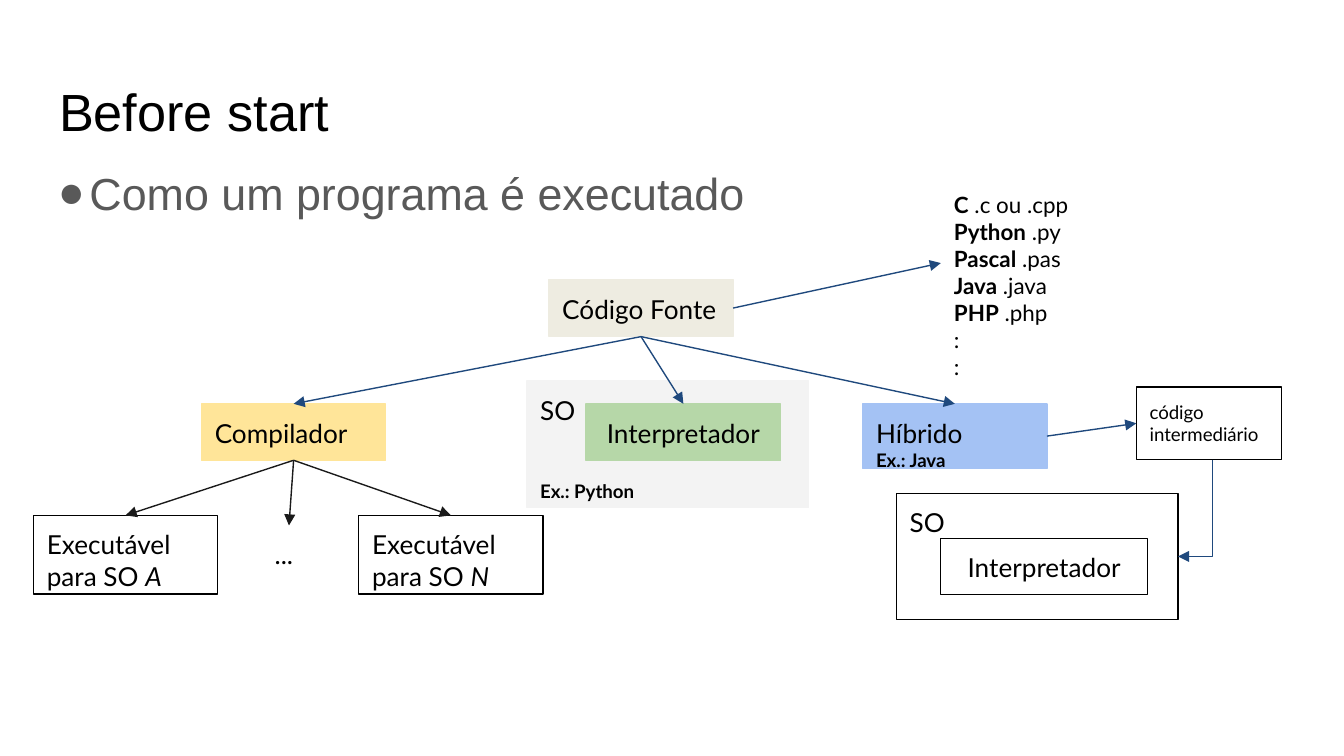
"""Builds a slide showing how a program goes from source code to execution."""
import pptx
import pptx.dml.color
import pptx.enum.shapes
import pptx.enum.text
import pptx.oxml
import pptx.oxml.ns
import pptx.util

COLORS = {
    "ink": "000000", "branch": "1A1A1A", "flow": "1F497D", "body": "595959",
    "system": "F3F3F3", "source": "EEECE1", "compiler": "FFE599",
    "interpreter": "B6D7A8", "hybrid": "A4C2F4",
}
EMU_PER_PX = 4572
TOP, LEFT, BOTTOM, RIGHT = range(4)
ALIGN = pptx.enum.text.PP_ALIGN


def px(length):
    return pptx.util.Emu(length * EMU_PER_PX)


def rgb(name):
    return pptx.dml.color.RGBColor.from_string(COLORS[name])


def append_xml(parent, tag, attributes=""):
    namespace = pptx.oxml.ns.nsdecls("a")
    element = pptx.oxml.parse_xml(f"<a:{tag} {namespace} {attributes}/>")
    parent.append(element)
    return element


def write(paragraph, text, font="Lato", size=14, color="ink", bold=False, italic=False):
    run = paragraph.add_run()
    run.text = text
    run.font.name = font
    run.font.size = pptx.util.Pt(size)
    run.font.bold = bold
    run.font.italic = italic
    run.font.color.rgb = rgb(color)


class Diagram:
    """Holds the current slide and the style of its elements."""

    def __init__(self, slide):
        self.slide = slide
        self.line_width = pptx.util.Pt(0.75)

    def frame(self, shape, across=20, down=20):
        frame = shape.text_frame
        frame.word_wrap = True
        frame.auto_size = pptx.enum.text.MSO_AUTO_SIZE.NONE
        frame.vertical_anchor = pptx.enum.text.MSO_ANCHOR.TOP
        frame.margin_left = frame.margin_right = px(across)
        frame.margin_top = frame.margin_bottom = px(down)
        return frame

    def placeholder(self, index, place, text, across, down, **style):
        holder = self.slide.placeholders[index]
        holder.left, holder.top, holder.width, holder.height = map(px, place)
        paragraph = self.frame(holder, across, down).paragraphs[0]
        paragraph.alignment = ALIGN.LEFT
        paragraph.space_before = pptx.util.Pt(0)
        write(paragraph, text, font="Arial", **style)
        return paragraph

    def bullet(self, paragraph, indent, color):
        properties = paragraph._p.get_or_add_pPr()
        properties.set("marL", str(px(indent)))
        properties.set("indent", str(px(-indent)))
        append_xml(append_xml(properties, "buClr"), "srgbClr", f'val="{COLORS[color]}"')
        append_xml(properties, "buFont", 'typeface="Arial"')
        append_xml(properties, "buChar", 'char="●"')

    def box(self, place, text, fill=None, align=ALIGN.LEFT, **style):
        kind = pptx.enum.shapes.MSO_SHAPE.RECTANGLE
        box = self.slide.shapes.add_shape(kind, *map(px, place))
        box.shadow.inherit = False
        if fill:
            box.fill.solid()
            box.fill.fore_color.rgb = rgb(fill)
        else:
            box.fill.background()
        box.line.color.rgb = rgb(fill or "ink")
        box.line.width = self.line_width
        paragraph = self.frame(box).paragraphs[0]
        paragraph.alignment = align
        write(paragraph, text, **style)
        return box

    def example(self, box, text, gap=0):
        paragraph = box.text_frame.add_paragraph()
        paragraph.alignment = ALIGN.LEFT
        paragraph.space_before = pptx.util.Pt(gap)
        write(paragraph, text, size=10, bold=True)

    def label(self, place, lines, size):
        label = self.slide.shapes.add_textbox(*map(px, place))
        frame = self.frame(label)
        for number, (strong, plain) in enumerate(lines):
            paragraph = frame.add_paragraph() if number else frame.paragraphs[0]
            if strong:
                write(paragraph, strong, size=size, bold=True)
            write(paragraph, plain, size=size)
        return label

    def loose_arrow(self, start, end, color="flow"):
        kind = pptx.enum.shapes.MSO_CONNECTOR.STRAIGHT
        arrow = self.slide.shapes.add_connector(kind, *map(px, start + end))
        arrow.line.color.rgb = rgb(color)
        arrow.line.width = self.line_width
        append_xml(arrow.line._get_or_add_ln(), "tailEnd", 'type="triangle"')
        append_xml(arrow.element.spPr, "effectLst")
        return arrow

    def arrow(self, start, start_side, end, end_side, color="flow"):
        arrow = self.loose_arrow((0, 0), (0, 0), color)
        arrow.begin_connect(start, start_side)
        arrow.end_connect(end, end_side)

    def down_left_arrow(self, start, end):
        arrow = self.loose_arrow(start, end)
        across, down = arrow.width, arrow.height
        arrow.left += (across - down) // 2
        arrow.top += (down - across) // 2
        arrow.width, arrow.height = down, across
        properties = arrow.element.spPr
        properties.xfrm.flipH = False
        properties.xfrm.rot = 90
        properties.prstGeom.set("prst", "bentConnector2")


def main():
    deck = pptx.Presentation()
    deck.slide_width, deck.slide_height = px(2000), px(1125)
    diagram = Diagram(deck.slides.add_slide(deck.slide_layouts[1]))

    diagram.placeholder(0, (68, 98, 1864, 126), "Before start", 20, 20, size=28)
    topic = diagram.placeholder(1, (78, 240, 1762, 110), "Como um programa é executado",
                                8, 6, size=24, color="body")
    diagram.bullet(topic, 47, "body")

    system = diagram.box((784, 567, 419, 188), "SO", "system")
    diagram.example(system, "Ex.: Python", gap=29)
    source = diagram.box((817, 416, 274, 85), "Código Fonte", "source")
    languages = diagram.label((1400, 265, 260, 253), [
        ("C", " .c ou .cpp"), ("Python", " .py"), ("Pascal", " .pas"),
        ("Java", " .java"), ("PHP", " .php"), ("", ":"), ("", ":")], size=12)

    compiler = diagram.box((300, 601, 274, 84), "Compilador", "compiler")
    interpreter = diagram.box((872, 601, 290, 84), "Interpretador", "interpreter", ALIGN.CENTER)
    hybrid = diagram.box((1284, 601, 274, 96), "Híbrido", "hybrid")
    diagram.example(hybrid, "Ex.: Java")

    targets = [diagram.label((389, 782, 82, 108), [("", "...")], size=14)]
    for left, name in ((50, "A"), (534, "N")):
        executable = diagram.box((left, 767, 274, 117), "Executável para SO ")
        write(executable.text_frame.paragraphs[0], name, italic=True)
        targets.append(executable)

    diagram.box((1334, 734, 419, 188), "SO")
    diagram.box((1400, 801, 308, 84), "Interpretador", align=ALIGN.CENTER)
    bytecode = diagram.box((1691, 576, 216, 108), "código intermediário", size=10)

    for target in targets:
        diagram.arrow(compiler, BOTTOM, target, TOP, "branch")
    for strategy in (compiler, interpreter, hybrid):
        diagram.arrow(source, BOTTOM, strategy, TOP)
    diagram.arrow(source, RIGHT, languages, LEFT)
    diagram.arrow(hybrid, RIGHT, bytecode, LEFT)
    diagram.down_left_arrow((1804, 684), (1753, 828))
    deck.save("out.pptx")


if __name__ == "__main__":
    main()
